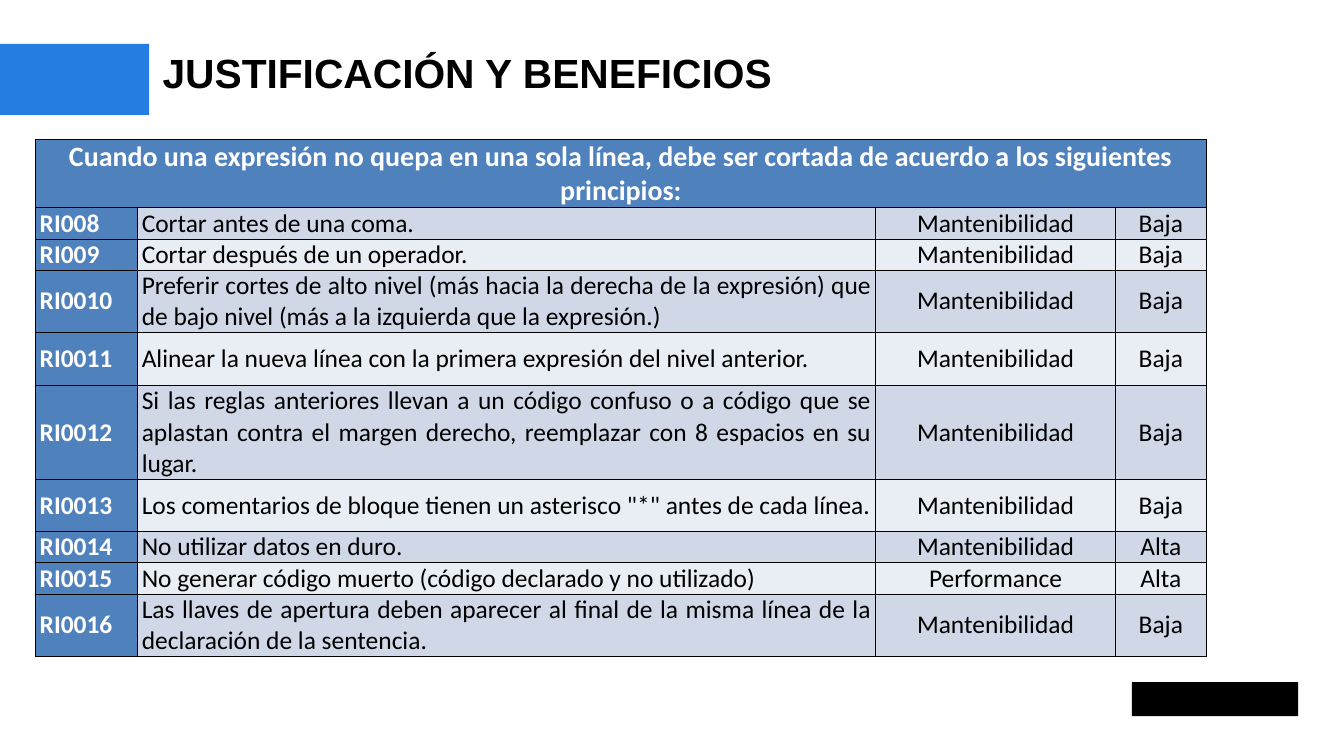
from dataclasses import dataclass
from lxml import etree
from pptx import Presentation
from pptx.dml.color import RGBColor
from pptx.enum import shapes, text
from pptx.oxml.ns import qn
from pptx.util import Inches, Pt

# Content
TITLE = "JUSTIFICACIÓN Y BENEFICIOS"
HEADING = ("Cuando una expresión no quepa en una sola línea, "
           "debe ser cortada de acuerdo a los siguientes principios:")
M = "Mantenibilidad"
RULES = [  # code, rule, quality, priority, row height
    ("RI008", "Cortar antes de una coma.", M, "Baja", 0.51),
    ("RI009", "Cortar después de un operador.", M, "Baja", 0.51),
    ("RI0010", "Preferir cortes de alto nivel (más hacia la derecha de la expresión) "
     "que de bajo nivel (más a la izquierda que la expresión.)", M, "Baja", 1.02),
    ("RI0011", "Alinear la nueva línea con la primera expresión del nivel anterior.",
     M, "Baja", 0.87),
    ("RI0012", "Si las reglas anteriores llevan a un código confuso o a código que se "
     "aplastan contra el margen derecho, reemplazar con 8 espacios en su lugar.",
     M, "Baja", 1.53),
    ("RI0013", 'Los comentarios de bloque tienen un asterisco "*" antes de cada línea.',
     M, "Baja", 0.86),
    ("RI0014", "No utilizar datos en duro.", M, "Alta", 0.51),
    ("RI0015", "No generar código muerto (código declarado y no utilizado)",
     "Performance", "Alta", 0.51),
    ("RI0016", "Las llaves de apertura deben aparecer al final de la misma línea de la "
     "declaración de la sentencia.", M, "Baja", 1.02),
]
COL_WIDTHS = (1.67, 12.08, 3.92, 1.49)
HEADING_HEIGHT = 1.12


@dataclass(frozen=True)
class Theme:
    accent: str = "257CE1"
    header: str = "4F81BD"
    bands: tuple = ("D0D8E8", "E9EDF4")
    dark: str = "000000"
    light: str = "FFFFFF"
    title_font: str = "Arial"
    table_font: str = "Calibri"
    title_size: int = 48
    heading_size: int = 33
    body_size: int = 30


T = Theme()
ALIGN = text.PP_ALIGN


def add_run(p, words, font, size, color, bold):
    r = p.add_run()
    r.text = words
    r.font.name, r.font.size, r.font.bold = font, Pt(size), bold
    r.font.color.rgb = RGBColor.from_string(color)


def add_borders(cell):
    tcPr = cell._tc.get_or_add_tcPr()
    for i, side in enumerate(("lnL", "lnR", "lnT", "lnB")):
        ln = etree.Element(qn(f"a:{side}"), w=str(Pt(1)))
        fill = etree.SubElement(ln, qn("a:solidFill"))
        etree.SubElement(fill, qn("a:srgbClr"), val=T.dark)
        tcPr.insert(i, ln)


def fill_cell(cell, words, align, fill, color, size=T.body_size, bold=False):
    cell.fill.solid()
    cell.fill.fore_color.rgb = RGBColor.from_string(fill)
    cell.vertical_anchor = text.MSO_ANCHOR.MIDDLE
    cell.margin_left = cell.margin_right = Inches(0.07)
    cell.margin_top = cell.margin_bottom = 0
    p = cell.text_frame.paragraphs[0]
    p.alignment = align
    if words:
        add_run(p, words, T.table_font, size, color, bold)
    add_borders(cell)


def add_block(s, left, top, width, height, color):
    sp = s.shapes.add_shape(shapes.MSO_SHAPE.RECTANGLE, Inches(left), Inches(top),
                            Inches(width), Inches(height))
    sp.shadow.inherit = False
    sp.fill.solid()
    sp.fill.fore_color.rgb = RGBColor.from_string(color)
    sp.line.fill.background()


def add_title(s):
    sp = s.shapes.title
    sp.left, sp.top = Inches(2.66), Inches(0.78)
    sp.width, sp.height = Inches(18.58), Inches(0.81)
    tf = sp.text_frame
    tf.margin_left = tf.margin_right = tf.margin_top = tf.margin_bottom = 0
    tf.vertical_anchor = text.MSO_ANCHOR.TOP
    tf.auto_size = text.MSO_AUTO_SIZE.SHAPE_TO_FIT_TEXT
    p = tf.paragraphs[0]
    p.alignment = ALIGN.LEFT
    add_run(p, TITLE, T.title_font, T.title_size, T.dark, True)


def add_rules_table(s):
    heights = [HEADING_HEIGHT] + [rule[-1] for rule in RULES]
    table = s.shapes.add_table(len(heights), len(COL_WIDTHS), Inches(0.58), Inches(2.28),
                               Inches(sum(COL_WIDTHS)), Inches(sum(heights))).table
    for col, width in zip(table.columns, COL_WIDTHS):
        col.width = Inches(width)
    for row, height in zip(table.rows, heights):
        row.height = Inches(height)

    # Heading across all columns
    for c in range(len(COL_WIDTHS)):
        fill_cell(table.cell(0, c), "" if c else HEADING, ALIGN.CENTER,
                  T.header, T.light, T.heading_size, True)
    table.cell(0, 0).merge(table.cell(0, len(COL_WIDTHS) - 1))

    # One banded row per rule
    for i, (code, rule, quality, priority, _) in enumerate(RULES):
        cells = table.rows[i + 1].cells
        band = T.bands[i % 2]
        fill_cell(cells[0], code, ALIGN.JUSTIFY, T.header, T.light, bold=True)
        fill_cell(cells[1], rule, ALIGN.JUSTIFY, band, T.dark)
        fill_cell(cells[2], quality, ALIGN.CENTER, band, T.dark)
        fill_cell(cells[3], priority, ALIGN.CENTER, band, T.dark)


def main():
    prs = Presentation()
    prs.slide_width, prs.slide_height = Inches(21.99), Inches(12.37)
    s = prs.slides.add_slide(prs.slide_layouts[5])
    # Accent bar beside the title, plain block in the footer corner
    add_block(s, -0.01, 0.72, 2.45, 1.16, T.accent)
    add_block(s, 18.52, 11.16, 2.72, 0.56, T.dark)
    add_title(s)
    add_rules_table(s)
    prs.save("out.pptx")


if __name__ == "__main__":
    main()
